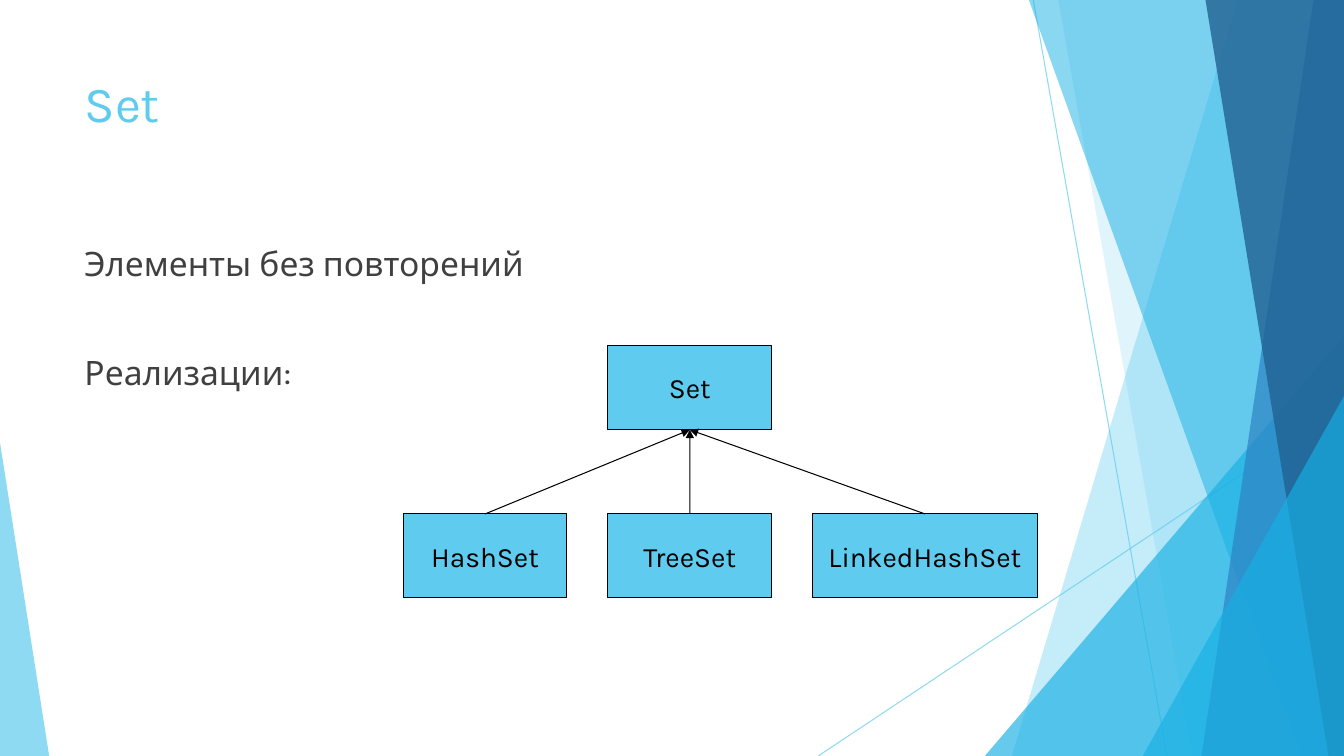
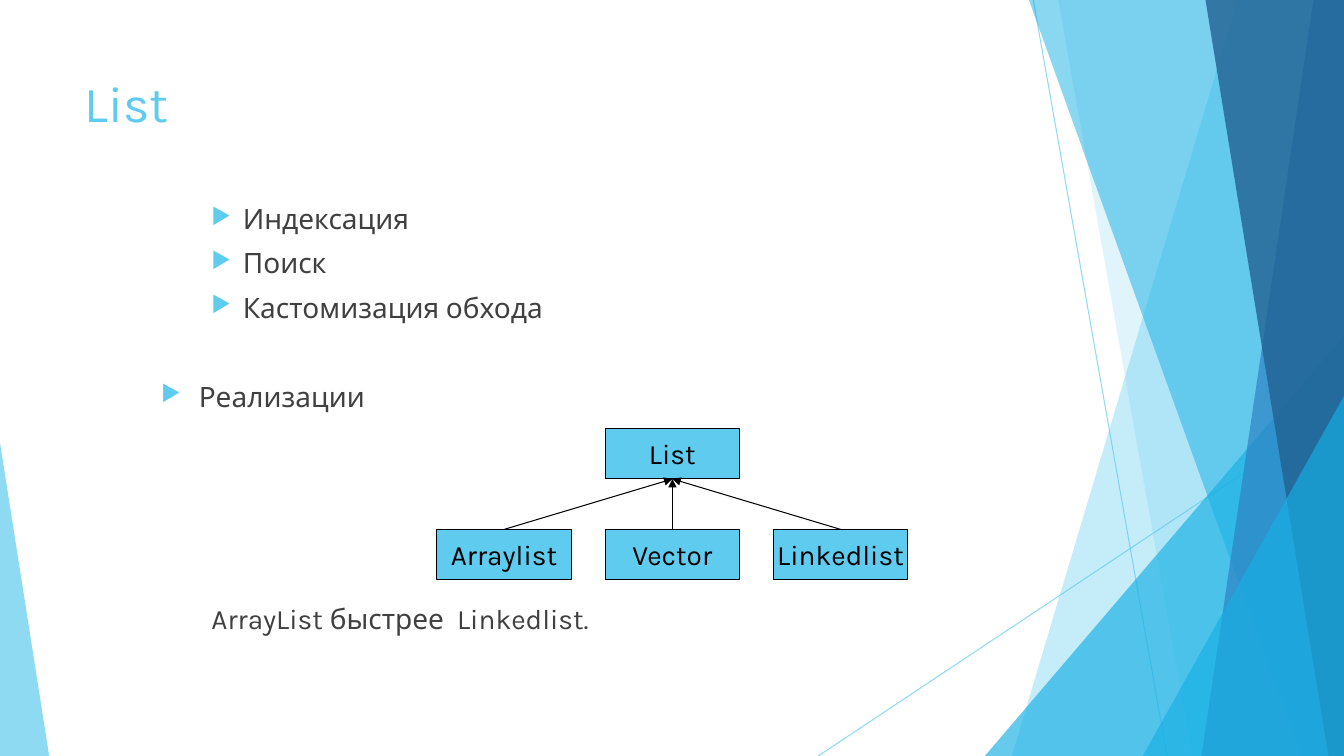
"""Build two slides on Java collections: Set and List."""
from dataclasses import dataclass

from lxml import etree
from pptx import Presentation
from pptx import util as u
from pptx.dml.color import RGBColor
from pptx.enum import shapes, text
from pptx.oxml.ns import qn


@dataclass(frozen=True)
class Theme:
    font: str = "Karla"
    sky: str = "5FCBEF"
    azure: str = "17B0E4"
    blue: str = "2E83C3"
    navy: str = "226292"
    ink: str = "000000"
    body: str = "404040"
    title_size: int = 36
    lead_size: int = 24
    text_size: int = 20
    line_width: float = 0.75


THEME = Theme()
WIDTH, HEIGHT = 33.87, 19.05


def add_run(paragraph, content, size, colour):
    run = paragraph.add_run()
    run.text = content
    run.font.name = THEME.font
    run.font.size = u.Pt(size)
    run.font.color.rgb = RGBColor.from_string(colour)


def add_line(slide, begin, end, colour):
    points = [u.Cm(value) for value in (*begin, *end)]
    connector = slide.shapes.add_connector(shapes.MSO_CONNECTOR.STRAIGHT, *points)
    connector.line.color.rgb = RGBColor.from_string(colour)
    connector.line.width = u.Pt(THEME.line_width)
    etree.SubElement(connector.element.spPr, qn("a:effectLst"))
    return connector


presentation = Presentation()
presentation.slide_width, presentation.slide_height = u.Cm(WIDTH), u.Cm(HEIGHT)
layout = presentation.slide_layouts[5]

RAYS = [((26.04, 0), (29.41, HEIGHT)), ((WIDTH, 10.24), (20.62, HEIGHT))]

# peak, first x, second x, top, colour, opacity
FACETS = [
    (None, 31.19, 25.5, 0, THEME.sky, 36),
    (None, 26.67, 30.05, 0, THEME.sky, 20),
    (1, 24.82, WIDTH, 8.46, THEME.azure, 66),
    (None, 25.93, 32.79, 0, THEME.azure, 50),
    (None, 33.1, 30.28, 0, THEME.blue, 70),
    (None, 30.38, 33.48, 0, THEME.navy, 80),
    (1, 28.8, WIDTH, 9.98, THEME.azure, 66),
    (0, 0, 1.24, 11.15, THEME.sky, 70),
]

SLIDES = [
    {
        "title": "Set",
        "body_box": (1.88, 5.99, 23.88, 10.77),
        "size": THEME.lead_size,
        "spacing": 1.0,
        "paragraphs": [
            ("Элементы без повторений", 0, 0, 0),
            ("Реализации:", 0, 0, 49),
        ],
        "root": "Set",
        "children": [("HashSet", 4.13), ("TreeSet", 4.13), ("LinkedHashSet", 5.66)],
        "tree": (10.16, 8.71, 2.12, 1.03),
    },
    {
        "title": "List",
        "body_box": (3.81, 5.05, 24.33, 13.34),
        "size": THEME.text_size,
        "spacing": 0.9,
        "paragraphs": [
            ("Индексация", 2.06, 0.79, 0),
            ("Поиск", 2.06, 0.79, 10),
            ("Кастомизация обхода", 2.06, 0.79, 10),
            ("Реализации", 0.95, 0.95, 42),
            ("ArrayList быстрее  Linkedlist.", 1.27, 0, 137),
        ],
        "root": "List",
        "children": [("Arraylist", 3.39), ("Vector", 3.39), ("Linkedlist", 3.39)],
        "tree": (11.01, 10.8, 1.27, 0.85),
    },
]

for number, content in enumerate(SLIDES):
    slide = presentation.slides.add_slide(layout)

    if number == 0:
        backdrop = [(add_line(slide, begin, end, THEME.sky), 70) for begin, end in RAYS]
        for peak, first, second, top, colour, opacity in FACETS:
            if peak is None:
                builder = slide.shapes.build_freeform(u.Cm(first), u.Cm(top))
                corners = [(WIDTH, top), (WIDTH, HEIGHT), (second, HEIGHT)]
                builder.add_line_segments([(u.Cm(x), u.Cm(y)) for x, y in corners])
                shape = builder.convert_to_shape()
            else:
                box = [u.Cm(value) for value in (first, top, second - first, HEIGHT - top)]
                shape = slide.shapes.add_shape(shapes.MSO_SHAPE.ISOSCELES_TRIANGLE, *box)
                shape.adjustments[0] = peak
            shape.shadow.inherit = False
            shape.fill.solid()
            shape.fill.fore_color.rgb = RGBColor.from_string(colour)
            shape.line.fill.background()
            backdrop.append((shape, opacity))
        for identifier, (shape, opacity) in enumerate(backdrop, 101):
            colour_element = shape.element.xpath("./p:spPr//a:srgbClr")[0]
            etree.SubElement(colour_element, qn("a:alpha"), val=str(opacity * 1000))
            shape.element.xpath(".//p:cNvPr")[0].set("id", str(identifier))
            layout.shapes.element.append(shape.element)

    title = slide.shapes.title
    title.left, title.top, title.width, title.height = map(u.Cm, (1.88, 1.7, 23.88, 3.66))
    title.text_frame.auto_size = text.MSO_AUTO_SIZE.NONE
    title.text_frame.vertical_anchor = text.MSO_ANCHOR.TOP
    paragraph = title.text_frame.paragraphs[0]
    paragraph.alignment = text.PP_ALIGN.LEFT
    add_run(paragraph, content["title"], THEME.title_size, THEME.sky)

    frame = slide.shapes.add_textbox(*map(u.Cm, content["body_box"])).text_frame
    frame.word_wrap = True
    for index, (line, margin, hanging, before) in enumerate(content["paragraphs"]):
        paragraph = frame.add_paragraph() if index else frame.paragraphs[0]
        properties = paragraph._p.get_or_add_pPr()
        properties.set("marL", str(u.Cm(margin)))
        properties.set("indent", str(-u.Cm(hanging)))
        if hanging:
            bullet_colour = etree.SubElement(properties, qn("a:buClr"))
            etree.SubElement(bullet_colour, qn("a:srgbClr"), val=THEME.sky)
            etree.SubElement(properties, qn("a:buSzPct"), val="80000")
            etree.SubElement(properties, qn("a:buChar"), char="▶")
        paragraph.line_spacing = content["spacing"]
        paragraph.space_before = u.Pt(before)
        add_run(paragraph, line, content["size"], THEME.body)

    left, top, height, gap = content["tree"]
    first_width, root_width = [width for name, width in content["children"][:2]]
    boxes = [(content["root"], left + first_width + gap, top, root_width)]
    for name, width in content["children"]:
        boxes.append((name, left, top + 2 * height, width))
        left += width + gap

    nodes = []
    for name, x, y, width in boxes:
        node = slide.shapes.add_shape(
            shapes.MSO_SHAPE.RECTANGLE, u.Cm(x), u.Cm(y), u.Cm(width), u.Cm(height)
        )
        node.shadow.inherit = False
        node.fill.solid()
        node.fill.fore_color.rgb = RGBColor.from_string(THEME.sky)
        node.line.color.rgb = RGBColor.from_string(THEME.ink)
        node.line.width = u.Pt(THEME.line_width)
        node.text_frame.word_wrap = False
        node.text_frame.vertical_anchor = text.MSO_ANCHOR.MIDDLE
        paragraph = node.text_frame.paragraphs[0]
        paragraph.alignment = text.PP_ALIGN.CENTER
        add_run(paragraph, name, THEME.text_size, THEME.ink)
        nodes.append(node)

    root, *children = nodes
    for child in children:
        connector = add_line(slide, (0, 0), (0, 0), THEME.ink)
        connector.begin_connect(child, 0)
        connector.end_connect(root, 2)
        outline = connector.element.xpath("./p:spPr/a:ln")[0]
        etree.SubElement(outline, qn("a:tailEnd"), type="triangle")

presentation.save("out.pptx")
